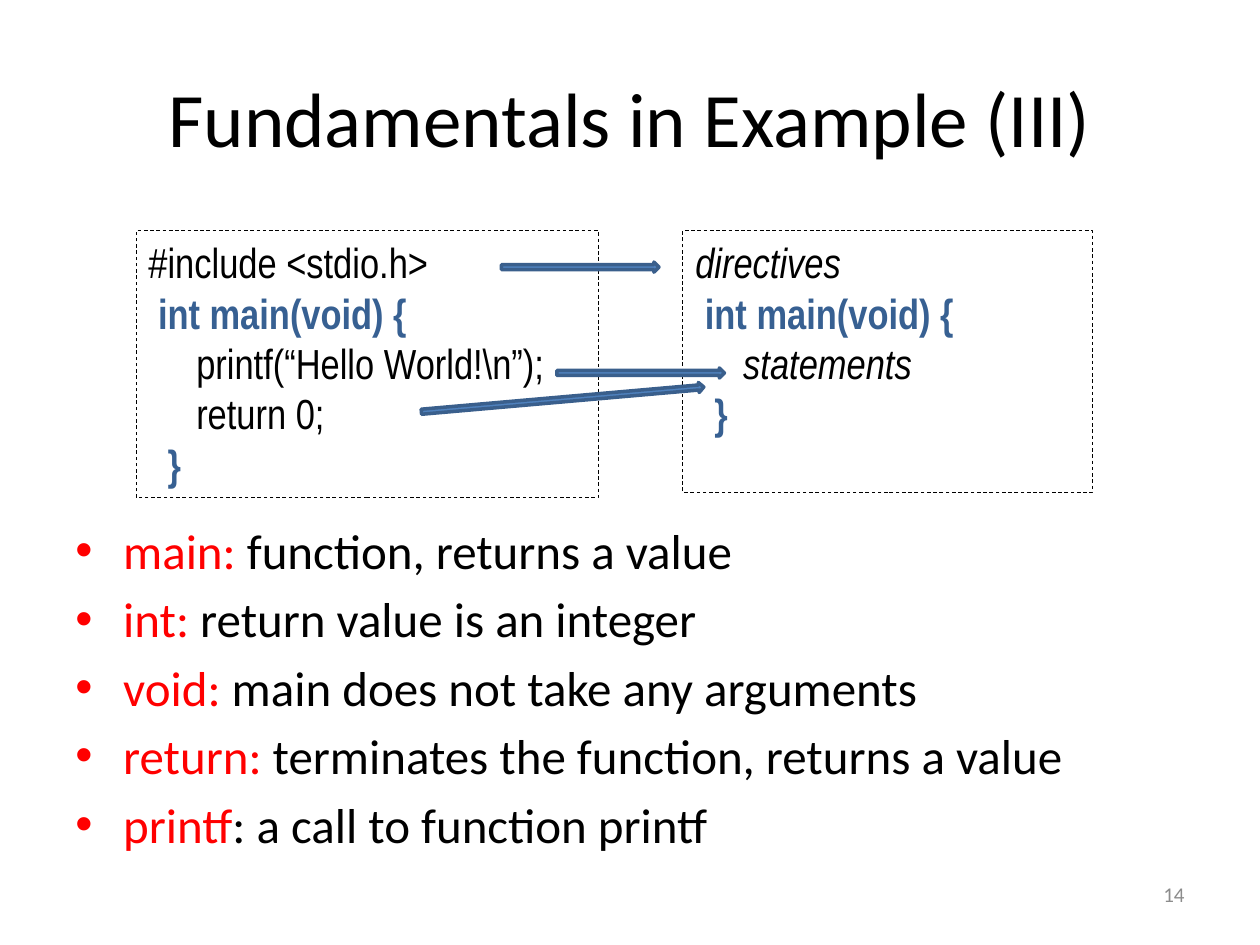
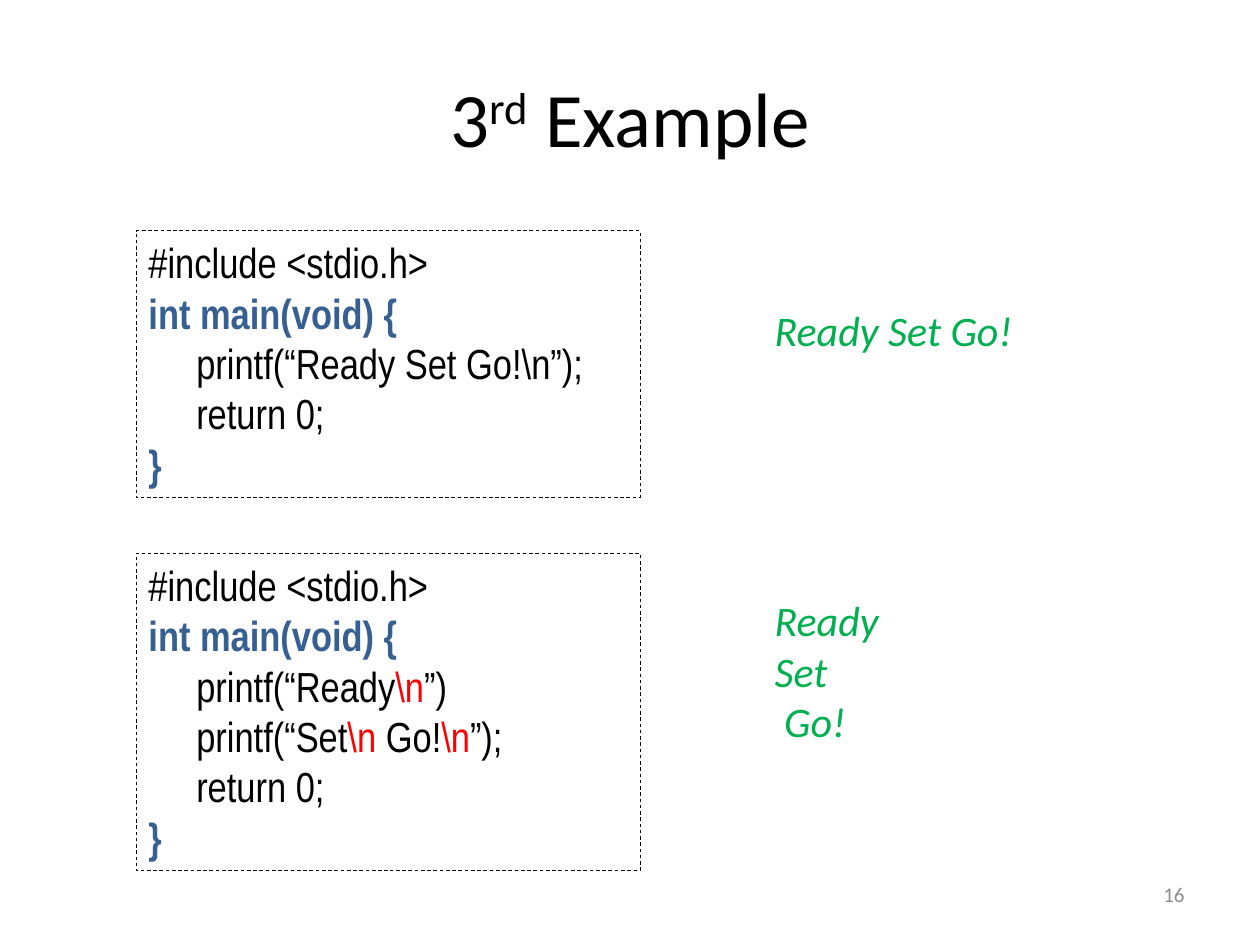
"""Build two slides that explain short C programs."""
from dataclasses import dataclass

from lxml import etree
from pptx import Presentation
from pptx.dml.color import RGBColor
from pptx.enum.dml import MSO_LINE
from pptx.enum.shapes import MSO_SHAPE
from pptx.enum.text import MSO_ANCHOR, PP_ALIGN
from pptx.oxml.ns import qn
from pptx.util import Inches, Pt

DASH = MSO_LINE.DASH
RECT, ARROW = MSO_SHAPE.RECTANGLE, MSO_SHAPE.RIGHT_ARROW
TOP, MIDDLE = MSO_ANCHOR.TOP, MSO_ANCHOR.MIDDLE
LEFT, CENTER, RIGHT = PP_ALIGN.LEFT, PP_ALIGN.CENTER, PP_ALIGN.RIGHT

BLACK, RED, GREEN, GRAY = "000000", "FF0000", "00B050", "8C8C8C"
NAVY, BLUE, EDGE = "376092", "4F81BD", "3A5F8C"
SANS, NARROW = "Calibri", "Arial Narrow"


@dataclass(frozen=True)
class Span:
    """A piece of a line that has its own look."""
    text: str
    color: str = ""
    bold: bool = False
    italic: bool = False
    raised: bool = False


@dataclass(frozen=True)
class Box:
    """A place on the slide, in inches."""
    left: float
    top: float
    width: float
    height: float
    turn: float = 0

    def place(self) -> list:
        """Return the four lengths that python-pptx takes."""
        return [Inches(n) for n in (self.left, self.top, self.width, self.height)]


Line = list[Span]

TITLE = Box(0.5, 0.3, 9, 1.25)
NUMBER = Box(8.58, 6.9, 0.92, 0.4)
POINTS = Box(0.5, 4.08, 8.83, 2.83)
ARROWS = [Box(3.98, 2.08, 1.25, 0.08), Box(4.42, 2.92, 1.33, 0.08),
          Box(3.34, 3.13, 2.25, 0.08, turn=355)]

INCLUDE = [Span("#include <stdio.h>")]
RETURN = [Span("     return 0;")]
BREAK = Span("\\n", RED)
TERMS = [
    ("main:", " function, returns a value"),
    ("int:", " return value is an integer"),
    ("void:", " main does not take any arguments"),
    ("return:", " terminates the function, returns a value"),
    ("printf", ": a call to function printf"),
]


def paint(code: str) -> RGBColor:
    """Turn a hex string into a colour."""
    return RGBColor.from_string(code)


def key(text: str) -> Line:
    """Make a line of bold code."""
    return [Span(text, NAVY, bold=True)]


def bullet(para) -> None:
    """Give a paragraph a hanging bullet."""
    props = para._p.get_or_add_pPr()
    props.set("marL", str(Inches(0.38)))
    props.set("indent", str(-Inches(0.38)))
    etree.SubElement(props, qn("a:buFont")).set("typeface", "Arial")
    etree.SubElement(props, qn("a:buChar")).set("char", "•")


def write(shape, lines: list[Line], *, size: float, font: str = SANS,
          color: str = BLACK, italic: bool = False, align=LEFT, anchor=TOP,
          listed: bool = False) -> None:
    """Fill a shape with formatted lines."""
    frame = shape.text_frame
    frame.word_wrap = True
    frame.vertical_anchor = anchor
    for row, line in enumerate(lines):
        para = frame.add_paragraph() if row else frame.paragraphs[0]
        para.alignment = align
        if listed:
            para.space_before = Pt(5.5 if row else 0)
            bullet(para)
        for span in line:
            run = para.add_run()
            run.text = span.text
            run.font.name, run.font.size = font, Pt(size)
            run.font.bold = span.bold
            run.font.italic = italic or span.italic
            run.font.color.rgb = paint(span.color or color)
            if span.raised:
                run._r.get_or_add_rPr().set("baseline", "30000")


def label(slide, box: Box, lines: list[Line], **style) -> None:
    """Add a text box."""
    write(slide.shapes.add_textbox(*box.place()), lines, **style)


def panel(slide, box: Box, lines: list[Line]) -> None:
    """Add a dashed frame that holds code."""
    shape = slide.shapes.add_shape(RECT, *box.place())
    shape.shadow.inherit = False
    shape.fill.background()
    shape.line.color.rgb = paint(BLACK)
    shape.line.width = Pt(0.5)
    shape.line.dash_style = DASH
    write(shape, lines, size=24, font=NARROW)


def arrow(slide, box: Box) -> None:
    """Add a thin block arrow."""
    shape = slide.shapes.add_shape(ARROW, *box.place())
    shape.rotation = box.turn
    shape.shadow.inherit = False
    shape.fill.solid()
    shape.fill.fore_color.rgb = paint(BLUE)
    shape.line.color.rgb = paint(EDGE)
    shape.line.width = Pt(2)


def start(deck, title: Line, number: int):
    """Add a slide with its title and number."""
    slide = deck.slides.add_slide(deck.slide_layouts[6])
    label(slide, TITLE, [title], size=44, align=CENTER, anchor=MIDDLE)
    label(slide, NUMBER, [[Span(str(number))]], size=12, color=GRAY,
          align=RIGHT, anchor=MIDDLE)
    return slide


def basics(deck) -> None:
    """Build the slide on the parts of a program."""
    slide = start(deck, [Span("Fundamentals in Example (III)")], 14)
    terms = [[Span(term, RED), Span(rest)] for term, rest in TERMS]
    label(slide, POINTS, terms, size=28, listed=True)
    panel(slide, Box(5.42, 1.83, 3.25, 2.08), [
        [Span("directives", italic=True)],
        key(" int main(void) {"),
        [Span("     statements", italic=True)],
        key("  }"),
    ])
    panel(slide, Box(1.08, 1.83, 3.67, 2.12), [
        INCLUDE,
        key(" int main(void) {"),
        [Span("     printf(“Hello World!\\n”);")],
        RETURN,
        key("  }"),
    ])
    for box in ARROWS:
        arrow(slide, box)


def sample(deck) -> None:
    """Build the slide with two programs and their output."""
    slide = start(deck, [Span("3"), Span("rd", raised=True), Span(" Example")], 16)
    single = [[Span("     printf(“Ready Set Go!\\n”);")]]
    double = [
        [Span("     printf(“Ready"), BREAK, Span("”)")],
        [Span("     printf(“Set"), BREAK, Span(" Go!"), BREAK, Span("”);")],
    ]
    pairs = [
        (Box(1.08, 1.83, 4, 2.12), single,
         Box(6.05, 2.37, 3, 0.5), ["Ready Set Go!"]),
        (Box(1.08, 4.39, 4, 2.52), double,
         Box(6.05, 4.67, 3, 1.31), ["Ready", "Set", " Go!"]),
    ]
    for frame, calls, place, output in pairs:
        panel(slide, frame,
              [INCLUDE, key("int main(void) {"), *calls, RETURN, key("}")])
        label(slide, place, [[Span(text)] for text in output], size=24,
              color=GREEN, italic=True)


def main() -> None:
    """Build and save the deck."""
    deck = Presentation()
    deck.slide_width, deck.slide_height = Inches(10), Inches(7.5)
    basics(deck)
    sample(deck)
    deck.save("out.pptx")


if __name__ == "__main__":
    main()
